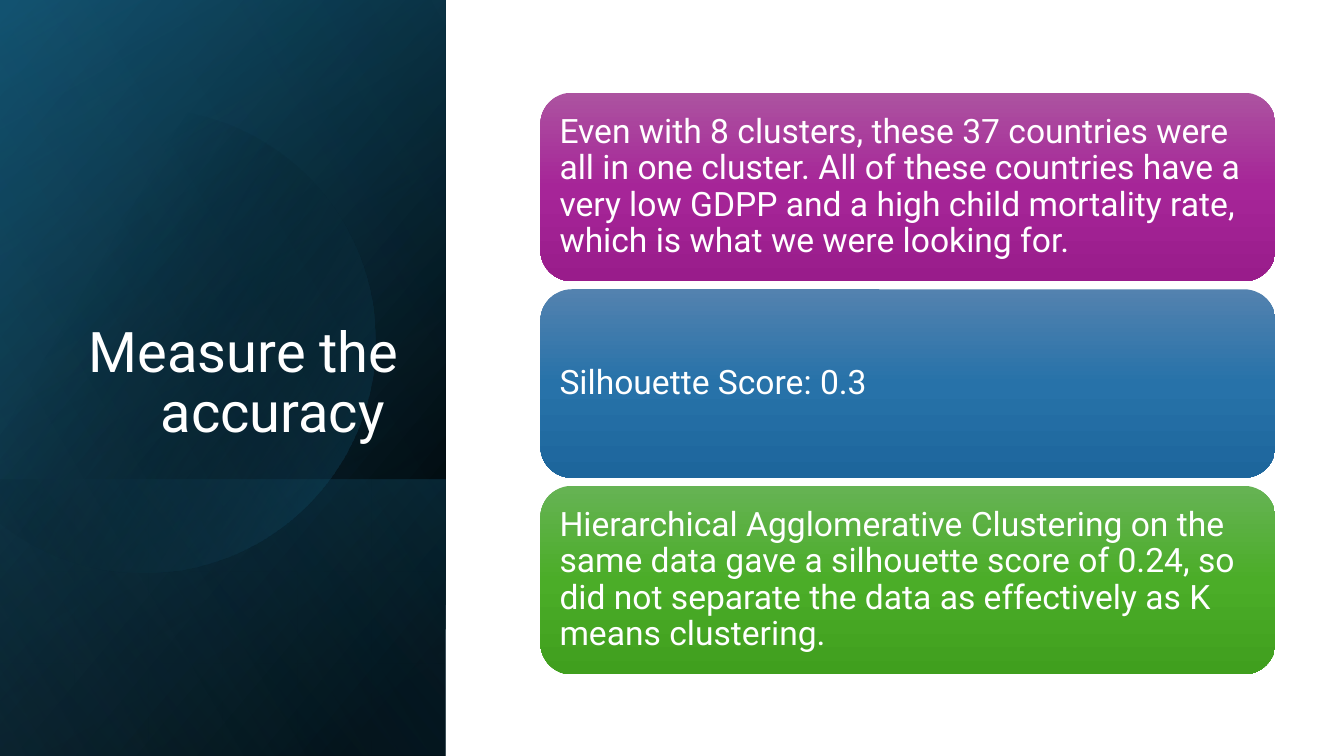
import math
from pptx import Presentation
from pptx import util as u
from pptx import oxml
from pptx.dml import color
from pptx.enum import shapes, text
from pptx.oxml import ns

COLORS = {
    "white": "FFFFFF", "black": "000000", "navy": "104862", "teal": "156082", "sky": "46B1E1",
    "plum_light": "AC53A0", "plum": "A62598", "plum_dark": "991C8B",
    "blue_light": "5382AF", "blue": "2772A9", "blue_dark": "1D669C",
    "green_light": "66B354", "green": "4BAD28", "green_dark": "409F1E",
}
CARDS = [
    ("plum", "Even with 8 clusters, these 37 countries were all in one cluster. All of these "
             "countries have a very low GDPP and a high child mortality rate, which is what we "
             "were looking for."),
    ("blue", "Silhouette Score: 0.3"),
    ("green", "Hierarchical Agglomerative Clustering on the same data gave a silhouette score of "
              "0.24, so did not separate the data as effectively as K means clustering."),
]


def px(length):
    return u.Emu(round(length * 9144))


class SlideBuilder:
    """Draws styled elements on one page, in hundredths of an inch."""

    font = "Roboto"

    def __init__(self, deck):
        self.page = deck.slides.add_slide(deck.slide_layouts[6])

    def paint(self, shape, stops, angle):
        shape.shadow.inherit = False
        shape.line.fill.background()
        shape.fill.background()
        marks = "".join(
            f'<a:gs pos="{place * 1000}"><a:srgbClr val="{COLORS[name]}">'
            f'<a:alpha val="{alpha * 1000}"/></a:srgbClr></a:gs>'
            for place, name, alpha in stops)
        gradient = oxml.parse_xml(
            f'<a:gradFill {ns.nsdecls("a")} rotWithShape="1"><a:gsLst>{marks}</a:gsLst>'
            f'<a:lin ang="{angle * 60000}" scaled="0"/></a:gradFill>')
        properties = shape._element.spPr
        properties.replace(properties.find(ns.qn("a:noFill")), gradient)

    def panel(self, left, top, width, height, stops, angle):
        box = self.page.shapes.add_shape(
            shapes.MSO_SHAPE.RECTANGLE, px(left), px(top), px(width), px(height))
        box.rotation = 90
        box._element.spPr.xfrm.set("flipH", "1")
        self.paint(box, stops, angle)

    def cut_circle(self, center_x, center_y, radius, stops, angle):
        limit = math.acos(-center_x / radius)
        steps = 120
        turns = [limit * (2 * step / steps - 1) for step in range(steps + 1)]
        points = [(px(center_x + radius * math.cos(turn)), px(center_y + radius * math.sin(turn)))
                  for turn in turns]
        builder = self.page.shapes.build_freeform(*points[0])
        builder.add_line_segments(points[1:], close=True)
        self.paint(builder.convert_to_shape(), stops, angle)

    def fill_text(self, box, words, size, align, anchor):
        frame = box.text_frame
        frame.word_wrap = True
        frame.vertical_anchor = anchor
        para = frame.paragraphs[0]
        para.text = words
        para.alignment = align
        para.line_spacing = 0.9
        para.font.name = self.font
        para.font.size = u.Pt(size)
        para.font.color.rgb = color.RGBColor.from_string(COLORS["white"])

    def title(self, left, top, width, height, words):
        box = self.page.shapes.add_textbox(px(left), px(top), px(width), px(height))
        self.fill_text(box, words, 40, text.PP_ALIGN.RIGHT, text.MSO_ANCHOR.BOTTOM)

    def card(self, left, top, width, height, hue, words):
        box = self.page.shapes.add_shape(
            shapes.MSO_SHAPE.ROUNDED_RECTANGLE, px(left), px(top), px(width), px(height))
        self.paint(box, [(0, hue + "_light", 100), (50, hue, 100), (100, hue + "_dark", 100)], 90)
        self.fill_text(box, words, 24, text.PP_ALIGN.LEFT, text.MSO_ANCHOR.MIDDLE)
        frame = box.text_frame
        frame.margin_left = frame.margin_right = px(10)
        frame.margin_top = frame.margin_bottom = px(10)


def main():
    deck = Presentation()
    deck.slide_width, deck.slide_height = u.Inches(13.33), u.Inches(7.5)
    slide = SlideBuilder(deck)
    sidebar = (-154, 154, 750, 442)
    slide.panel(*sidebar, [(8, "black", 100), (100, "navy", 100)], 50)
    slide.panel(*sidebar, [(0, "black", 0), (99, "teal", 46)], 30)
    slide.panel(84, 392, 274, 442, [(2, "teal", 29), (100, "black", 30)], 130)
    slide.cut_circle(142, 338, 230, [(29, "black", 0), (100, "teal", 43)], 30)
    slide.panel(*sidebar, [(0, "black", 0), (99, "sky", 11)], 120)
    slide.title(64, 184, 341, 262, "Measure the accuracy ")
    for row, (hue, words) in enumerate(CARDS):
        slide.card(536, 92 + 195 * row, 729, 187, hue, words)
    deck.save("out.pptx")


if __name__ == "__main__":
    main()
